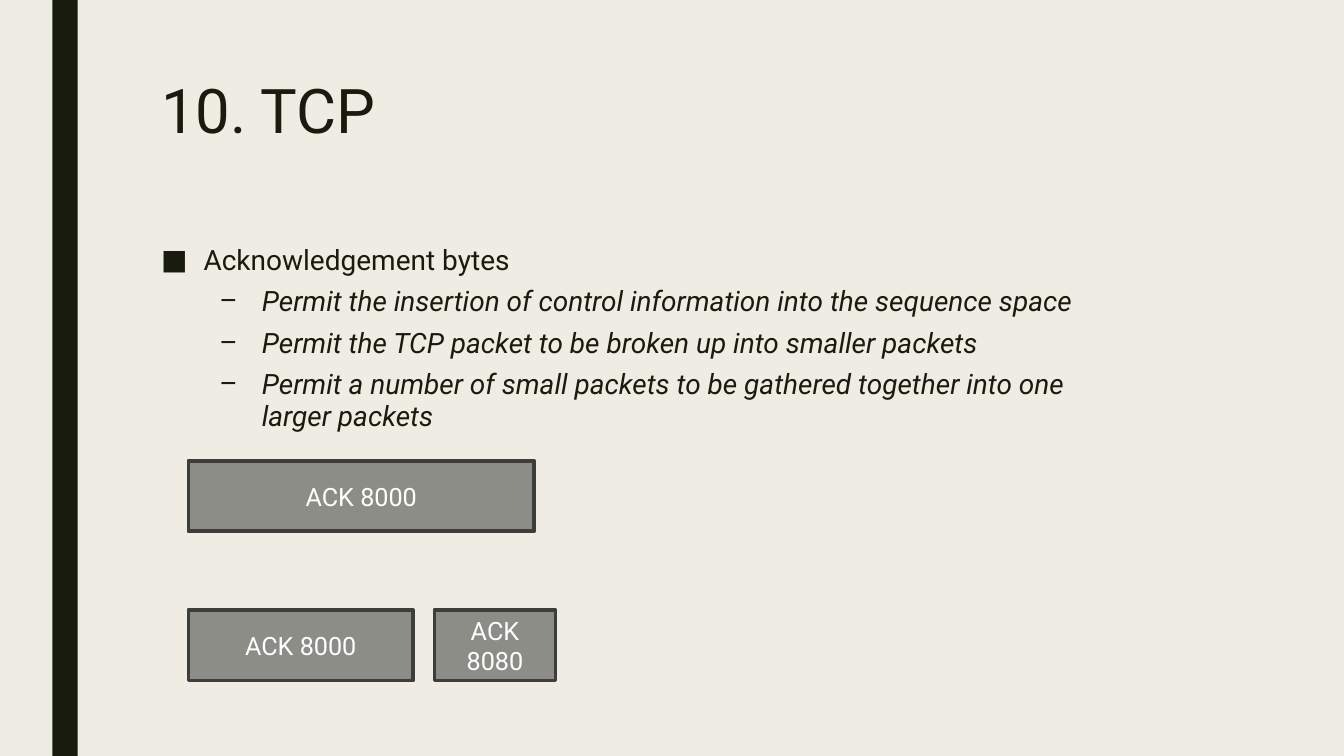
from lxml import etree
from pptx import Presentation
from pptx.dml.color import RGBColor
from pptx.enum.shapes import MSO_SHAPE
from pptx.enum.text import MSO_ANCHOR, PP_ALIGN
from pptx.oxml.ns import qn
from pptx.util import Cm, Pt

RECTANGLE = MSO_SHAPE.RECTANGLE
TOP, MIDDLE = MSO_ANCHOR.TOP, MSO_ANCHOR.MIDDLE
LEFT, CENTER = PP_ALIGN.LEFT, PP_ALIGN.CENTER

TITLE = "10. TCP"
TOPIC = "Acknowledgement bytes"
PURPOSES = [
    "Permit the insertion of control information into the sequence space",
    "Permit the TCP packet to be broken up into smaller packets",
    "Permit a number of small packets to be gathered together into one larger packets",
]
PACKET_ROWS = [
    (11.61, [("ACK 8000", 8.71)]),
    (15.37, [("ACK 8000", 5.66), ("ACK 8080", 3.05)]),
]

COLORS = {
    "background": "EFEDE3",
    "ink": "191B0E",
    "packet": "8C8D86",
    "packet_edge": "3D3E3B",
    "packet_text": "FFFFFF",
}
FONT = "Roboto"
SLIDE_WIDTH, SLIDE_HEIGHT = 33.87, 19.05
MARGIN = 3.81
PACKET_LEFT, PACKET_HEIGHT, PACKET_GAP = 4.75, 1.78, 0.54
HANGING = 1.07


def color(name):
    return RGBColor.from_string(COLORS[name])


def add_run(paragraph, text, size, ink="ink", italic=None):
    run = paragraph.add_run()
    run.text = text
    run.font.name = FONT
    run.font.size = Pt(size)
    run.font.italic = italic
    run.font.color.rgb = color(ink)


def add_text_frame(slide, left, top, width, height):
    frame = slide.shapes.add_textbox(Cm(left), Cm(top), Cm(width), Cm(height)).text_frame
    frame.word_wrap = True
    frame.vertical_anchor = TOP
    return frame


def add_rectangle(slide, left, top, width, height, fill):
    rectangle = slide.shapes.add_shape(RECTANGLE, Cm(left), Cm(top), Cm(width), Cm(height))
    rectangle.shadow.inherit = False
    rectangle.fill.solid()
    rectangle.fill.fore_color.rgb = color(fill)
    rectangle.line.fill.background()
    return rectangle


def add_bullet(paragraph, text, symbol, level, indent, before):
    paragraph.level = level
    paragraph.alignment = LEFT
    paragraph.line_spacing = 0.94
    paragraph.space_before = Pt(before)
    paragraph.space_after = Pt(2)
    add_run(paragraph, text, 20, italic=level > 0)
    properties = paragraph._p.get_or_add_pPr()
    properties.set("marL", str(Cm(indent)))
    properties.set("indent", str(-Cm(HANGING)))
    etree.SubElement(properties, qn("a:buFont")).set("typeface", FONT)
    etree.SubElement(properties, qn("a:buChar")).set("char", symbol)


def add_packet(slide, label, left, top, width):
    packet = add_rectangle(slide, left, top, width, PACKET_HEIGHT, "packet")
    packet.line.color.rgb = color("packet_edge")
    packet.line.width = Pt(2.75)
    packet.text_frame.word_wrap = True
    packet.text_frame.vertical_anchor = MIDDLE
    paragraph = packet.text_frame.paragraphs[0]
    paragraph.alignment = CENTER
    add_run(paragraph, label, 18, "packet_text")


def main():
    """Build the TCP acknowledgement slide."""
    deck = Presentation()
    deck.slide_width, deck.slide_height = Cm(SLIDE_WIDTH), Cm(SLIDE_HEIGHT)
    slide = deck.slides.add_slide(deck.slide_layouts[6])
    slide.background.fill.solid()
    slide.background.fill.fore_color.rgb = color("background")

    add_rectangle(slide, 1.32, 0, 0.64, SLIDE_HEIGHT, "ink")

    heading = add_text_frame(slide, MARGIN, 1.91, 26.67, 4.11).paragraphs[0]
    heading.line_spacing = 0.89
    add_run(heading, TITLE, 44)

    body = add_text_frame(slide, MARGIN, 6.05, 24.31, 5.92)
    add_bullet(body.paragraphs[0], TOPIC, "■", 0, HANGING, 10)
    for purpose in PURPOSES:
        add_bullet(body.add_paragraph(), purpose, "–", 1, 2.54, 5)

    for top, packets in PACKET_ROWS:
        left = PACKET_LEFT
        for label, width in packets:
            add_packet(slide, label, left, top, width)
            left += width + PACKET_GAP

    deck.save("out.pptx")


if __name__ == "__main__":
    main()
